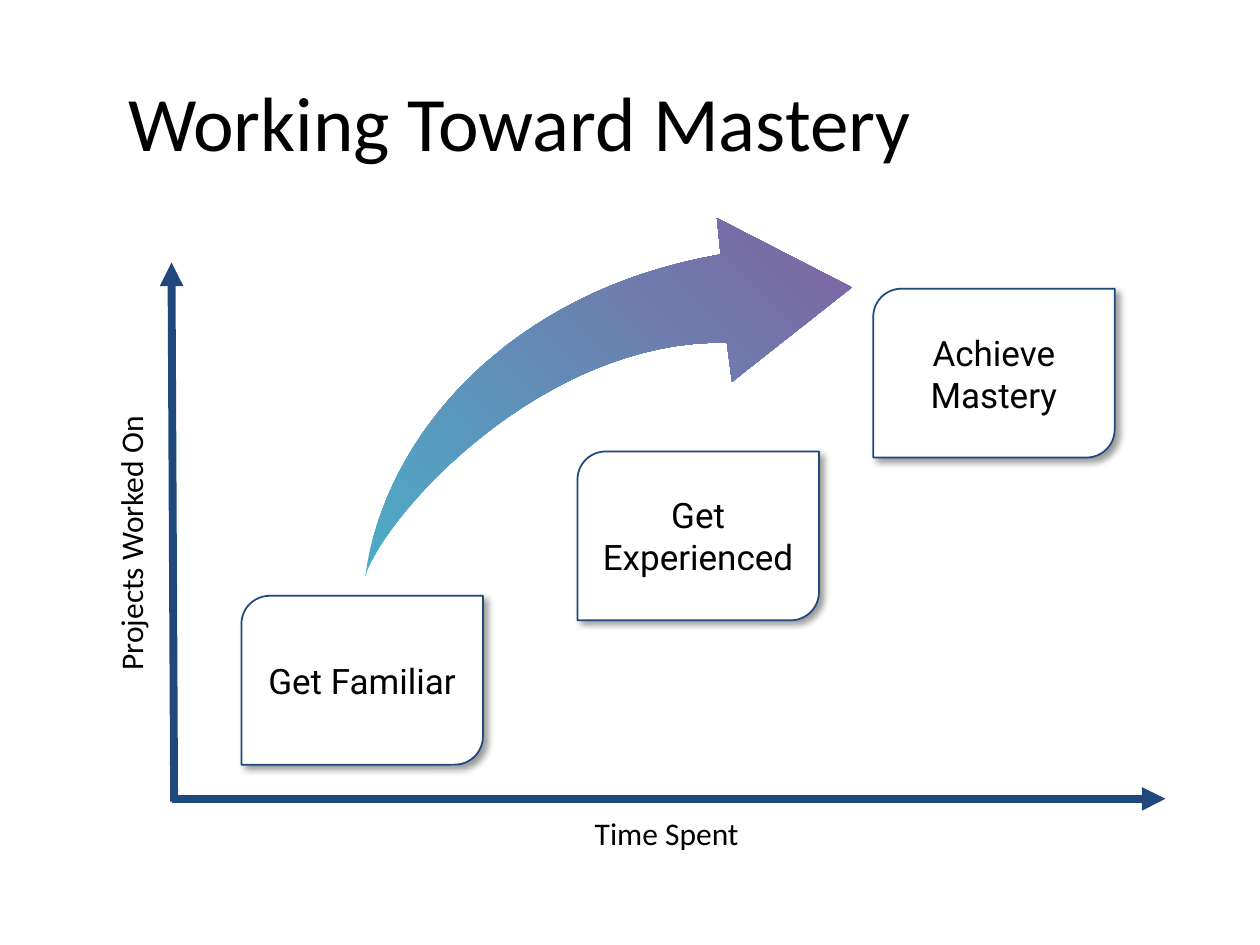
from dataclasses import dataclass

from lxml import etree
from pptx import Presentation
from pptx.dml.color import RGBColor
from pptx.enum.shapes import MSO_CONNECTOR, MSO_SHAPE
from pptx.enum.text import MSO_ANCHOR, PP_ALIGN
from pptx.oxml import parse_xml
from pptx.oxml.ns import nsdecls, qn
from pptx.util import Pt

LEFT, CENTER = PP_ALIGN.LEFT, PP_ALIGN.CENTER
TOP, MIDDLE = MSO_ANCHOR.TOP, MSO_ANCHOR.MIDDLE
CARD = MSO_SHAPE.ROUND_2_DIAG_RECTANGLE
STRAIGHT = MSO_CONNECTOR.STRAIGHT


@dataclass
class Theme:
    ink: RGBColor = RGBColor(0, 0, 0)
    paper: RGBColor = RGBColor(255, 255, 255)
    navy: RGBColor = RGBColor(0x1F, 0x49, 0x7D)
    teal: RGBColor = RGBColor(0x4B, 0xAC, 0xC6)
    plum: RGBColor = RGBColor(0x80, 0x64, 0xA2)
    body: str = "Calibri"
    accent: str = "Roboto"
    head_size: float = 44
    card_size: float = 20
    label_size: float = 18


SHADOW = (
    f'<a:outerShdw {nsdecls("a")} blurRad="{Pt(4)}" dist="{Pt(3)}" '
    'dir="2700000" algn="tl" rotWithShape="0"><a:srgbClr val="000000">'
    '<a:alpha val="40000"/></a:srgbClr></a:outerShdw>'
)


def assign(item, values):
    for name, value in values.items():
        setattr(item, name, value)


def bezier(start, first, second, end, steps=32):
    """Points along a cubic curve, without its start."""
    points = []
    for step in range(1, steps + 1):
        t = step / steps
        u = 1 - t
        points.append(tuple(
            u**3 * a + 3 * u * u * t * b + 3 * u * t * t * c + t**3 * d
            for a, b, c, d in zip(start, first, second, end)))
    return points


class Board:
    def __init__(self, slide, theme):
        self.slide, self.theme = slide, theme

    def letter(self, shape, text, size, font, align=CENTER, **frame):
        assign(shape.text_frame, {"word_wrap": True, **frame})
        shape.text_frame.text = text
        para = shape.text_frame.paragraphs[0]
        para.alignment = align
        assign(para.font, {"size": Pt(size), "name": font})
        para.font.color.rgb = self.theme.ink

    def title(self, text, left, top, width, height):
        shape = self.slide.shapes.title
        assign(shape, {"left": Pt(left), "top": Pt(top),
                       "width": Pt(width), "height": Pt(height)})
        self.letter(shape, text, self.theme.head_size, self.theme.body,
                    LEFT, vertical_anchor=MIDDLE)

    def axis(self, start, end):
        line = self.slide.shapes.add_connector(
            STRAIGHT, *map(Pt, start + end))
        line.line.width = Pt(4.5)
        line.line.color.rgb = self.theme.navy
        props = line._element.spPr
        etree.SubElement(props.find(qn("a:ln")), qn("a:tailEnd"),
                         type="triangle")
        etree.SubElement(props, qn("a:effectLst"))

    def label(self, text, left, top, width, height, turn=0):
        box = self.slide.shapes.add_textbox(
            *map(Pt, (left, top, width, height)))
        box.rotation = turn
        self.letter(box, text, self.theme.label_size, self.theme.body,
                    vertical_anchor=TOP)

    def card(self, text, left, top, width=138, height=96.5):
        shape = self.slide.shapes.add_shape(
            CARD, *map(Pt, (left, top, width, height)))
        shape.fill.solid()
        shape.fill.fore_color.rgb = self.theme.paper
        shape.line.color.rgb = self.theme.navy
        shape.line.width = Pt(1)
        shape.shadow.inherit = False
        effects = shape._element.spPr.find(qn("a:effectLst"))
        effects.append(parse_xml(SHADOW))
        sides = ("left", "top", "right", "bottom")
        inset = {f"margin_{side}": Pt(3.6) for side in sides}
        self.letter(shape, text, self.theme.card_size, self.theme.accent,
                    vertical_anchor=MIDDLE, **inset)

    def sweep(self, start, points):
        pen = self.slide.shapes.build_freeform(*map(Pt, start))
        pen.add_line_segments([(Pt(x), Pt(y)) for x, y in points], close=True)
        shape = pen.convert_to_shape()
        shape.shadow.inherit = False
        shape.line.fill.background()
        shape.fill.gradient()
        shape.fill.gradient_angle = 45
        colors = (self.theme.teal, self.theme.plum)
        for place, (stop, color) in enumerate(
                zip(shape.fill.gradient_stops, colors)):
            stop.position = place
            stop.color.rgb = color


def main():
    deck = Presentation()
    assign(deck, {"slide_width": Pt(720), "slide_height": Pt(540)})
    board = Board(deck.slides.add_slide(deck.slide_layouts[5]), Theme())

    board.title("Working Toward Mastery", 66, 24, 636, 90)

    # Axes and their labels
    board.axis((98.5, 456.5), (666, 456.5))
    board.axis((99.5, 458), (98, 150))
    board.label("Time Spent", 114, 461.5, 534, 29)
    board.label("Projects Worked On", -71.2, 296, 292, 29, turn=270)

    # Stages, from first to last
    for text, left, top in (("Get Familiar", 138, 340.5),
                            ("Get Experienced", 330, 258),
                            ("Achieve Mastery", 499, 165)):
        board.card(text, left, top)

    # Curved arrow: outer edge, head, inner edge
    foot, outer, inner = (208.8, 329), (411.8, 145.4), (415.4, 195.8)
    head = [(409.7, 124.6), (486.7, 164.2), (418.3, 218.2), inner]
    board.sweep(foot, bezier(foot, (219.6, 249.8), (290.2, 166.3), outer)
                + head + bezier(inner, (311, 193.7), (221, 292.3), foot))

    deck.save("out.pptx")


if __name__ == "__main__":
    main()
